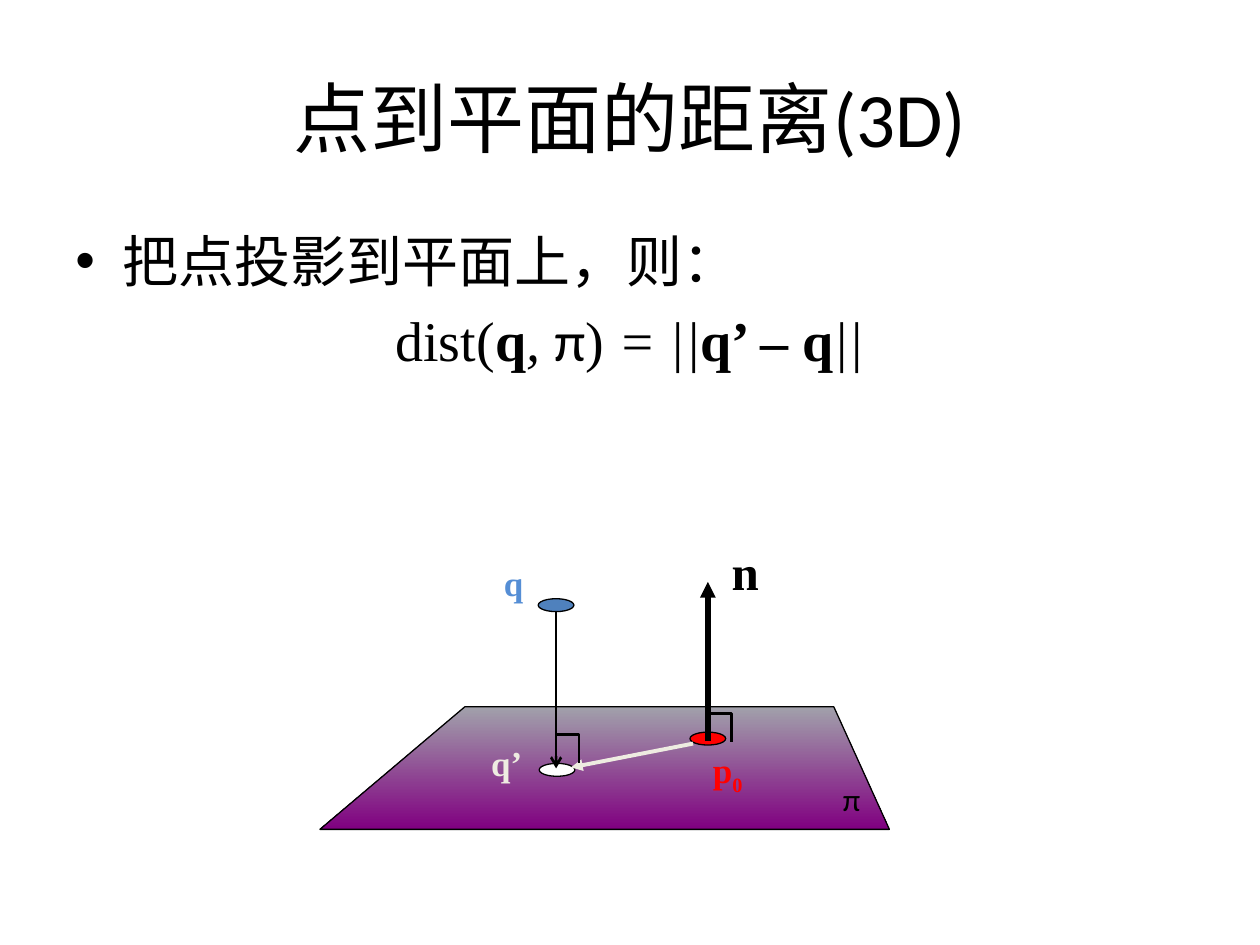
import pptx
import pptx.dml.color
import pptx.enum.shapes
import pptx.enum.text
import pptx.oxml.ns
import pptx.util
from lxml import etree

Cm = pptx.util.Cm
Pt = pptx.util.Pt
ALIGN = pptx.enum.text.PP_ALIGN
ANCHOR = pptx.enum.text.MSO_ANCHOR
SHAPE = pptx.enum.shapes.MSO_SHAPE
qn = pptx.oxml.ns.qn

COLORS = {
    "black": "000000", "white": "FFFFFF", "red": "FF0000", "cream": "EEECE1",
    "q_label": "558ED5", "q_dot": "4F81BD",
    "plane_far": "A1A1AB", "plane_near": "800080",
}
SERIF = {"name": "Times New Roman"}
SANS = {"name": "Calibri"}
BOLD = {**SERIF, "bold": True}
ITALIC = {**SERIF, "italic": True}


def rgb(name):
    return pptx.dml.color.RGBColor.from_string(COLORS[name])


def add_run(p, text, size, fmt, color="black"):
    r = p.add_run()
    r.text = text
    for key, value in {"size": Pt(size), **fmt}.items():
        setattr(r.font, key, value)
    r.font.color.rgb = rgb(color)
    return r


def add_text(s, x, y, w, h, wrap=True, anchor=ANCHOR.TOP):
    tf = s.shapes.add_textbox(Cm(x), Cm(y), Cm(w), Cm(h)).text_frame
    tf.word_wrap = wrap
    tf.vertical_anchor = anchor
    return tf


def outline(sp, width, color="black"):
    sp.line.color.rgb = rgb(color)
    sp.line.width = Pt(width)


def add_path(s, points, width, close):
    """Draw an unfilled outline through points given in cm."""
    start, *rest = [(Cm(x), Cm(y)) for x, y in points]
    builder = s.shapes.build_freeform(*start)
    builder.add_line_segments(rest, close=close)
    sp = builder.convert_to_shape()
    sp.shadow.inherit = False
    sp.fill.background()
    outline(sp, width)
    return sp


def add_dot(s, cx, cy, color):
    w, h = 0.72, 0.26
    sp = s.shapes.add_shape(SHAPE.OVAL, Cm(cx - w / 2), Cm(cy - h / 2), Cm(w), Cm(h))
    sp.shadow.inherit = False
    sp.fill.solid()
    sp.fill.fore_color.rgb = rgb(color)
    outline(sp, 0.75)


def add_arrow(s, x1, y1, x2, y2, width, color="black", head="triangle"):
    line = s.shapes.add_connector(
        pptx.enum.shapes.MSO_CONNECTOR.STRAIGHT, Cm(x1), Cm(y1), Cm(x2), Cm(y2))
    outline(line, width, color)
    etree.SubElement(line.line._get_or_add_ln(), qn("a:tailEnd"), type=head)
    etree.SubElement(line._element.spPr, qn("a:effectLst"))


def add_right_angle(s, x, y):
    w, h = 0.48, 0.58
    add_path(s, [(x, y), (x + w, y), (x + w, y + h)], 1.5, close=False)


def add_title(s, x, y, w, h):
    p = add_text(s, x, y, w, h, anchor=ANCHOR.MIDDLE).paragraphs[0]
    p.alignment = ALIGN.CENTER
    add_run(p, "点到平面的距离(3D)", 44, SANS)


def add_body(s, x, y, w, h):
    tf = add_text(s, x, y, w, h)
    bullet, formula = tf.paragraphs[0], tf.add_paragraph()
    for p in (bullet, formula):
        pPr = p._p.get_or_add_pPr()
        pPr.set("marL", str(Cm(0.95)))
        pPr.set("indent", str(-Cm(0.95)))
    pPr = bullet._p.pPr
    etree.SubElement(pPr, qn("a:buFont"), typeface="Arial")
    etree.SubElement(pPr, qn("a:buChar"), char="•")
    add_run(bullet, "把点投影到平面上，则：", 32, SANS)

    formula.alignment = ALIGN.CENTER
    formula.space_before = Pt(6.4)
    for text, fmt in [("dist(", SERIF), ("q", BOLD), (", ", ITALIC), ("π", SANS),
                      (")", SERIF), (" = ||", ITALIC), ("q’ – q", BOLD), ("||", ITALIC)]:
        add_run(formula, text, 32, fmt)


def add_diagram(s, x, y, w, h):
    """Plane with its normal at p0 and the projection of q onto it."""
    foot_x, normal_x = x + 4.76, x + 7.82

    def label(dx, dy, lw, lh, text, size, fmt, color="black", wrap=False):
        p = add_text(s, x + dx, y + dy, lw, lh, wrap).paragraphs[0]
        add_run(p, text, size, fmt, color)
        return p

    plane = add_path(s, [(x, y + h), (x + 2.92, y + 3.45), (x + 10.36, y + 3.45),
                         (x + w, y + h)], 0.75, close=True)
    plane.fill.gradient()
    plane.fill.gradient_angle = 270
    for stop, color in zip(plane.fill.gradient_stops, ("plane_far", "plane_near")):
        stop.color.rgb = rgb(color)

    label(8.05, 0, 1.07, 1.45, "n", 28, BOLD)
    add_right_angle(s, normal_x, y + 3.58)
    add_dot(s, normal_x, y + 4.09, "red")
    add_arrow(s, normal_x, y + 4.14, normal_x, y + 0.93, 3)
    add_dot(s, foot_x + 0.02, y + 4.72, "white")
    add_arrow(s, x + 7.52, y + 4.19, x + 5.06, y + 4.67, 2.25, "cream")
    p = label(7.67, 4.16, 1.14, 1.09, "p", 20, BOLD, "red")
    sub = add_run(p, "0", 20, BOLD, "red")
    sub.font._element.set("baseline", "-25000")
    label(3.2, 4.03, 1.14, 1.09, "q’", 20, BOLD, "cream")
    label(10.29, 4.8, 1.3, 1.02, "π", 18, SANS, wrap=True)
    label(3.46, 0.4, 0.91, 1.09, "q", 20, BOLD, "q_label")
    add_dot(s, foot_x, y + 1.4, "q_dot")
    add_arrow(s, foot_x, y + 1.54, foot_x, y + 4.69, 1.5, head="arrow")
    add_right_angle(s, foot_x - 0.02, y + 4.01)


def main():
    prs = pptx.Presentation()
    prs.slide_width, prs.slide_height = Cm(25.4), Cm(19.05)
    s = prs.slides.add_slide(prs.slide_layouts[6])
    add_title(s, 1.27, 0.76, 22.86, 3.18)
    add_body(s, 1.27, 4.45, 22.86, 12.57)
    add_diagram(s, 6.45, 10.8, 11.48, 5.92)
    prs.save("out.pptx")


if __name__ == "__main__":
    main()
